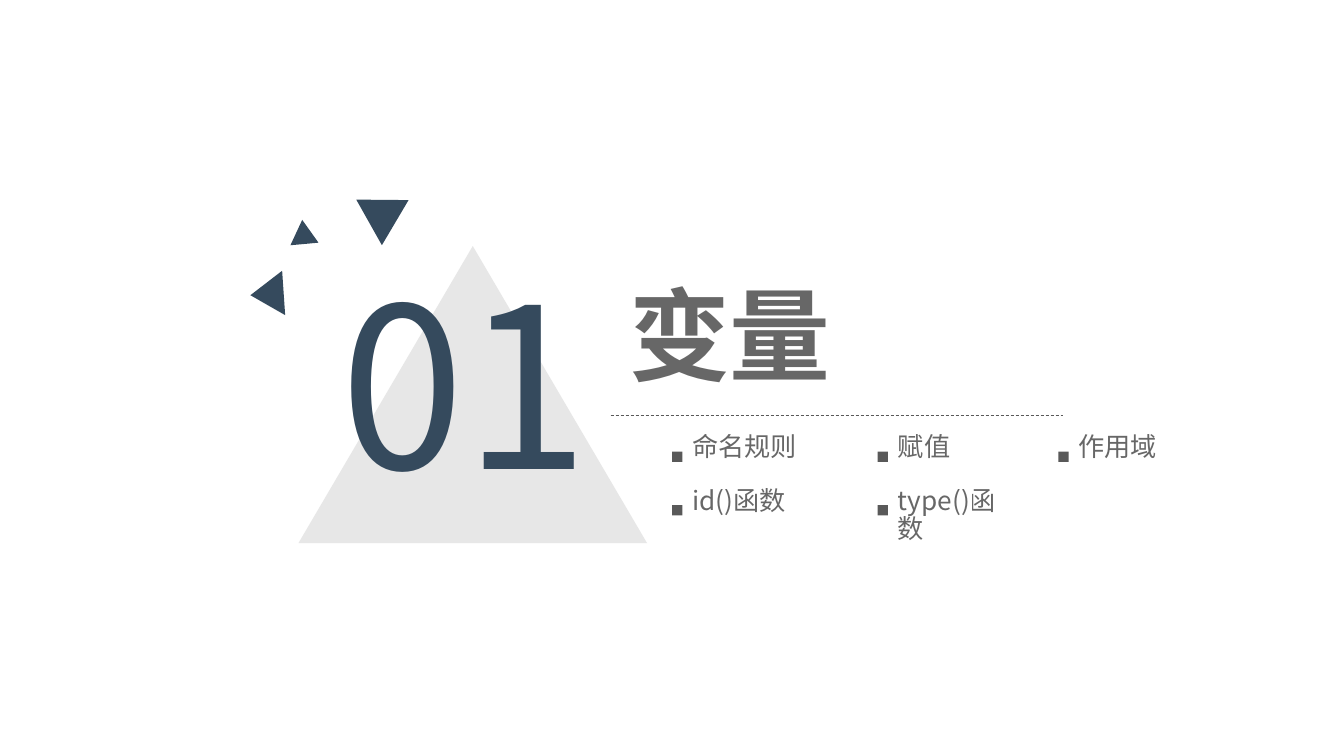
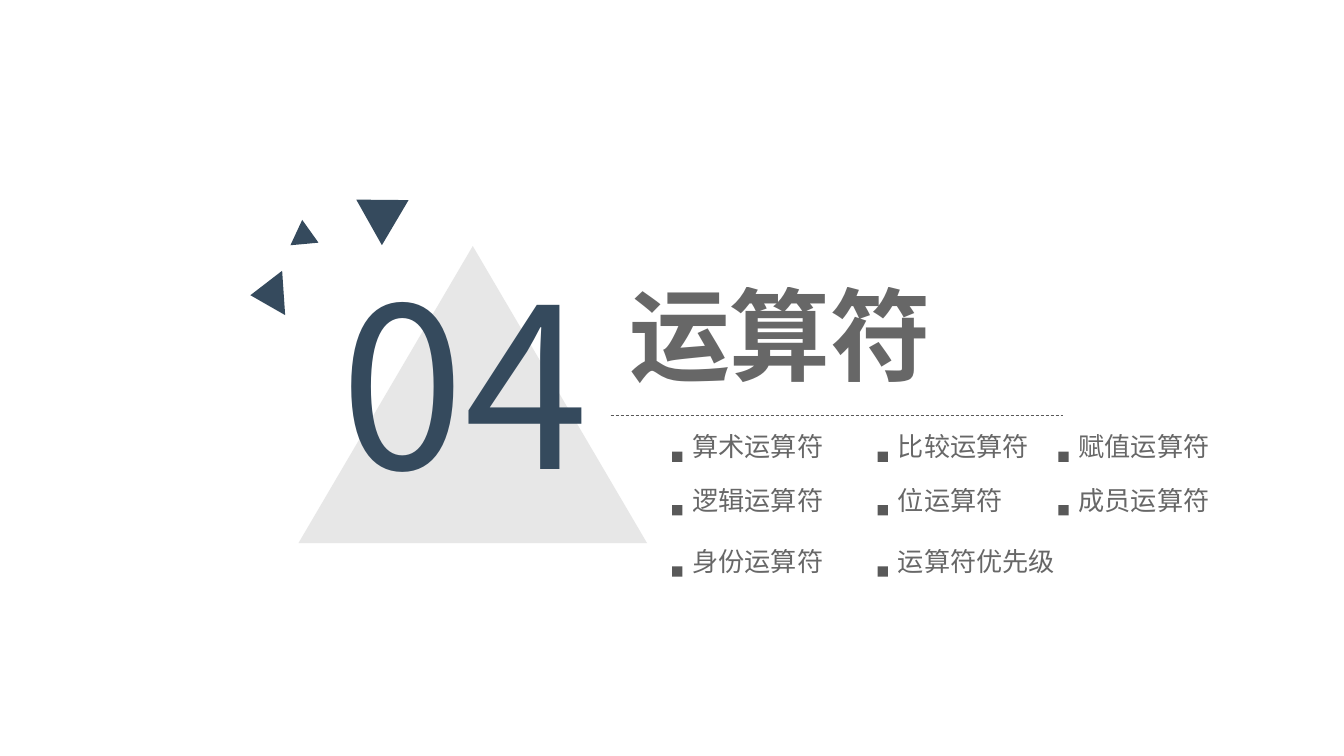
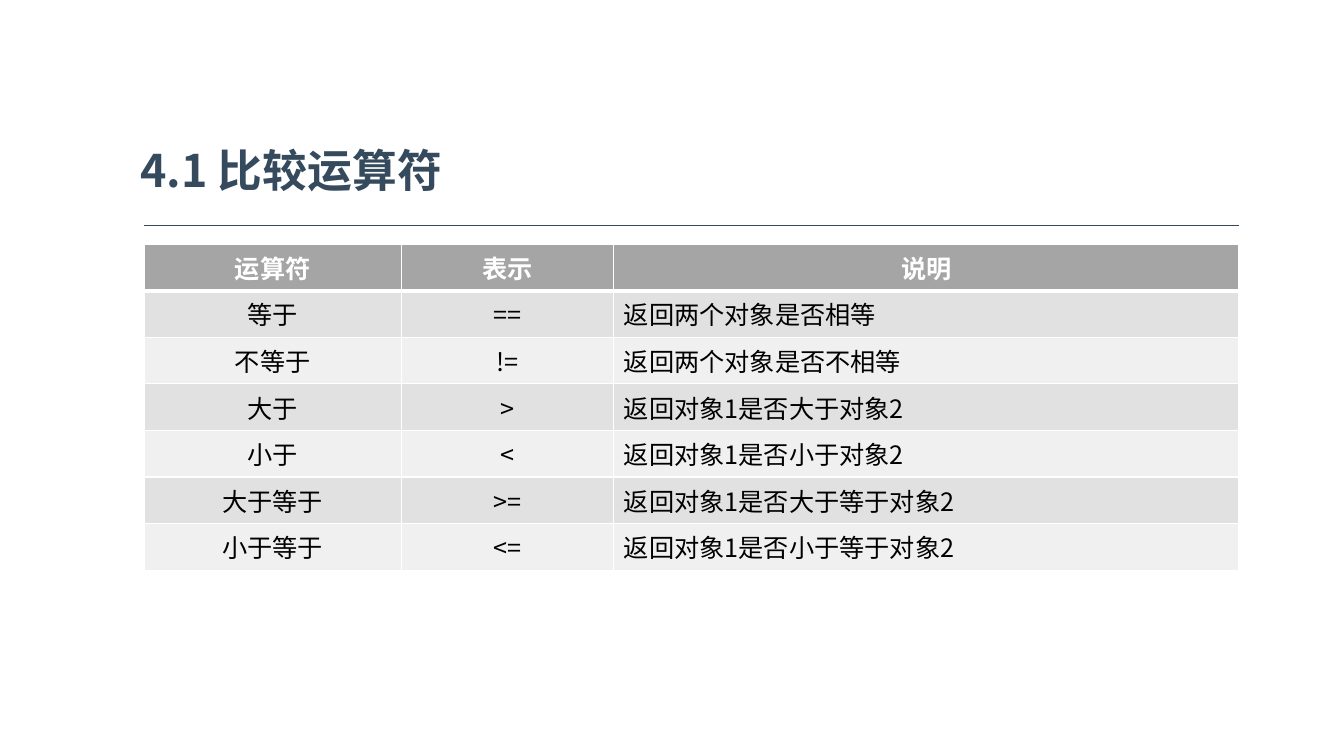
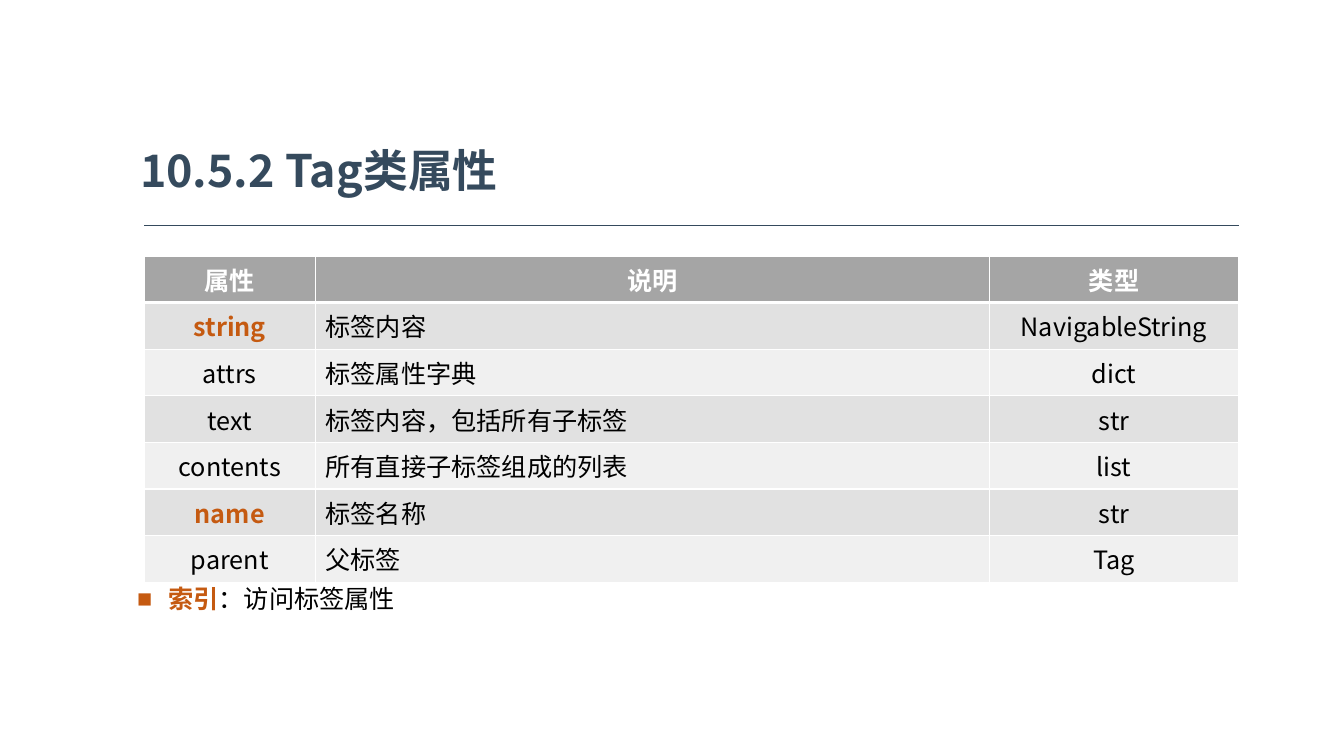
import lxml.etree
import pptx
import pptx.dml.color
import pptx.enum.dml
import pptx.enum.shapes
import pptx.enum.text
import pptx.oxml.ns
import pptx.util

Cm = pptx.util.Cm
Pt = pptx.util.Pt
qn = pptx.oxml.ns.qn
Align = pptx.enum.text.PP_ALIGN
Anchor = pptx.enum.text.MSO_ANCHOR
Preset = pptx.enum.shapes.MSO_SHAPE


def paint(fill, hex_colour, opacity=100):
    fill.solid()
    fill.fore_color.rgb = pptx.dml.color.RGBColor.from_string(hex_colour)
    if opacity < 100:
        colour = fill._xPr.find(f".//{qn('a:srgbClr')}")
        lxml.etree.SubElement(colour, qn("a:alpha"), val=str(opacity * 1000))


class Deck:
    FONT = "Noto Sans CJK SC"
    NAVY, GREY, ORANGE = "354A5D", "595959", "C55A11"
    BLACK, WHITE, HEADER = "000000", "FFFFFF", "A5A5A5"
    BANDS = ("E1E1E1", "F0F0F0")
    TITLE_ONLY, TITLE_AND_BODY = 5, 1
    SMALL_TRIANGLES = (
        (8.81, 4.75, 1.32, 1.14, 300.6),
        (7.29, 5.54, 0.71, 0.61, 354.7),
        (6.17, 6.99, 1.12, 0.84, 266.1),
    )
    LABEL_COLUMNS = (16.94, 22.12, 26.67)
    LABEL_ROWS = (11.38, 12.73, 14.27)

    def __init__(self):
        self.presentation = pptx.Presentation()
        self.presentation.slide_width = Cm(33.87)
        self.presentation.slide_height = Cm(19.05)
        self.slide = None

    def new_slide(self, layout):
        layouts = self.presentation.slide_layouts
        self.slide = self.presentation.slides.add_slide(layouts[layout])

    def run(self, paragraph, text, size, colour, bold=False, opacity=100):
        run = paragraph.add_run()
        run.text = text
        run.font.size = Pt(size)
        run.font.bold = bold
        paint(run.font.fill, colour, opacity)
        run.font.name = self.FONT
        lxml.etree.SubElement(run._r.get_or_add_rPr(), qn("a:ea"), typeface=self.FONT)

    def frame(self, shape, left, top, width, height, spacing=0.9, anchor=Anchor.TOP):
        shape.left, shape.top = Cm(left), Cm(top)
        shape.width, shape.height = Cm(width), Cm(height)
        frame = shape.text_frame
        frame.word_wrap = True
        frame.auto_size = pptx.enum.text.MSO_AUTO_SIZE.NONE
        frame.vertical_anchor = anchor
        paragraph = frame.paragraphs[0]
        paragraph.alignment = Align.LEFT
        paragraph.line_spacing = spacing
        paragraph.space_before = Pt(0)
        return paragraph

    def text(self, text, left, top, width, height, size, colour, opacity=100):
        shape = self.slide.shapes.add_textbox(0, 0, 0, 0)
        paragraph = self.frame(shape, left, top, width, height)
        self.run(paragraph, text, size, colour, opacity=opacity)

    def shape(self, preset, left, top, width, height, colour, opacity=100, rotation=0):
        shape = self.slide.shapes.add_shape(
            preset, Cm(left), Cm(top), Cm(width), Cm(height))
        shape.shadow.inherit = False
        shape.rotation = rotation
        paint(shape.fill, colour, opacity)
        shape.line.fill.background()

    def rule(self, left, right, top, colour, dash=None):
        line = self.slide.shapes.add_connector(
            pptx.enum.shapes.MSO_CONNECTOR.STRAIGHT, Cm(left), Cm(top), Cm(right), Cm(top))
        paint(line.line.fill, colour)
        line.line.width = Pt(0.5)
        if dash:
            line.line.dash_style = dash
        lxml.etree.SubElement(line._element.spPr, qn("a:effectLst"))

    def label(self, text, left, top):
        wide = sum(not character.isascii() for character in text)
        width = 0.66 * wide + 0.26 * (len(text) - wide) + 0.55
        self.shape(Preset.RECTANGLE, left, top, 0.26, 0.26, self.GREY)
        self.text(text, left + 0.26, top - 0.56, width, 1.07, 18.7, self.GREY, 91)

    def divider(self, number, title, label_rows):
        self.new_slide(self.TITLE_ONLY)
        paragraph = self.frame(
            self.slide.shapes.title, 15.6, 7.09, 2.54 * len(title) + 0.56, 3.33)
        self.run(paragraph, title, 72, self.GREY, True, 91)
        self.shape(Preset.ISOSCELES_TRIANGLE, 7.52, 6.2, 8.79, 7.49, self.GREY, 14)
        self.text(number, 8.33, 6.83, 7.21, 7.09, 160, self.NAVY)
        self.rule(15.39, 26.8, 10.46, self.GREY, pptx.enum.dml.MSO_LINE.DASH)
        for *box, rotation in self.SMALL_TRIANGLES:
            self.shape(Preset.ISOSCELES_TRIANGLE, *box, self.NAVY, rotation=rotation)
        for top, labels in zip(self.LABEL_ROWS, label_rows):
            for left, text in zip(self.LABEL_COLUMNS, labels):
                self.label(text, left, top)

    def content(self, title, width, layout):
        self.new_slide(layout)
        shape = self.slide.shapes.title
        paragraph = self.frame(shape, 3.2, 3.35, width, 1.85, 1.0, Anchor.MIDDLE)
        frame = shape.text_frame
        frame.margin_left = frame.margin_right = Cm(0.33)
        frame.margin_top = frame.margin_bottom = Cm(0.18)
        self.run(paragraph, title, 32, self.NAVY, True)
        self.rule(3.63, 31.22, 5.69, self.NAVY)

    def borders(self, cell, bottom):
        properties = cell._tc.get_or_add_tcPr()
        for index, side in enumerate("LRTB"):
            points = bottom if side == "B" else 1
            line = lxml.etree.Element(qn(f"a:ln{side}"), w=str(Pt(points)))
            fill = lxml.etree.SubElement(line, qn("a:solidFill"))
            lxml.etree.SubElement(fill, qn("a:srgbClr"), val=self.WHITE)
            properties.insert(index, line)

    def table(self, top, widths, rows, left_column, highlights=()):
        height = 1.03
        table = self.slide.shapes.add_table(
            len(rows), len(widths), Cm(3.63), Cm(top),
            Cm(sum(widths)), Cm(height * len(rows))).table
        for column, width in zip(table.columns, widths):
            column.width = Cm(width)
        for row_index, row in enumerate(rows):
            header = row_index == 0
            table.rows[row_index].height = Cm(height)
            for column_index, text in enumerate(row):
                cell = table.cell(row_index, column_index)
                paint(cell.fill, self.HEADER if header else self.BANDS[(row_index - 1) % 2])
                self.borders(cell, 3 if header else 1)
                paragraph = cell.text_frame.paragraphs[0]
                left_aligned = column_index == left_column and not header
                paragraph.alignment = Align.LEFT if left_aligned else Align.CENTER
                highlight = text in highlights
                colour = self.ORANGE if highlight else self.BLACK
                self.run(paragraph, text, 18, self.WHITE if header else colour,
                         header or highlight)

    def bullet(self, term, explanation, left, top, width, height):
        paragraph = self.frame(self.slide.placeholders[1], left, top, width, height)
        properties = paragraph._p.get_or_add_pPr()
        properties.set("marL", str(Cm(0.79)))
        properties.set("indent", str(Cm(-0.79)))
        lxml.etree.SubElement(properties, qn("a:buChar"), char="■")
        self.run(paragraph, term, 18, self.ORANGE, True)
        self.run(paragraph, explanation, 18, self.BLACK)


def main():
    deck = Deck()
    deck.divider("01", "变量", (
        ("命名规则", "赋值", "作用域"),
        ("id()函数", "type()函数"),
    ))
    deck.divider("04", "运算符", (
        ("算术运算符", "比较运算符", "赋值运算符"),
        ("逻辑运算符", "位运算符", "成员运算符"),
        ("身份运算符", "运算符优先级"),
    ))

    deck.content("4.1 比较运算符", 17.65, deck.TITLE_ONLY)
    deck.table(6.15, (6.48, 5.36, 15.75), (
        ("运算符", "表示", "说明"),
        ("等于", "==", "返回两个对象是否相等"),
        ("不等于", "!=", "返回两个对象是否不相等"),
        ("大于", ">", "返回对象1是否大于对象2"),
        ("小于", "<", "返回对象1是否小于对象2"),
        ("大于等于", ">=", "返回对象1是否大于等于对象2"),
        ("小于等于", "<=", "返回对象1是否小于等于对象2"),
    ), left_column=2)

    deck.content("10.5.2 Tag类属性", 27.58, deck.TITLE_AND_BODY)
    deck.table(6.45, (4.32, 16.99, 6.27), (
        ("属性", "说明", "类型"),
        ("string", "标签内容", "NavigableString"),
        ("attrs", "标签属性字典", "dict"),
        ("text", "标签内容，包括所有子标签", "str"),
        ("contents", "所有直接子标签组成的列表", "list"),
        ("name", "标签名称", "str"),
        ("parent", "父标签", "Tag"),
    ), left_column=1, highlights=("string", "name"))
    deck.bullet("索引", "：访问标签属性", 3.2, 14.66, 7.09, 1.02)

    deck.presentation.save("out.pptx")


if __name__ == "__main__":
    main()
